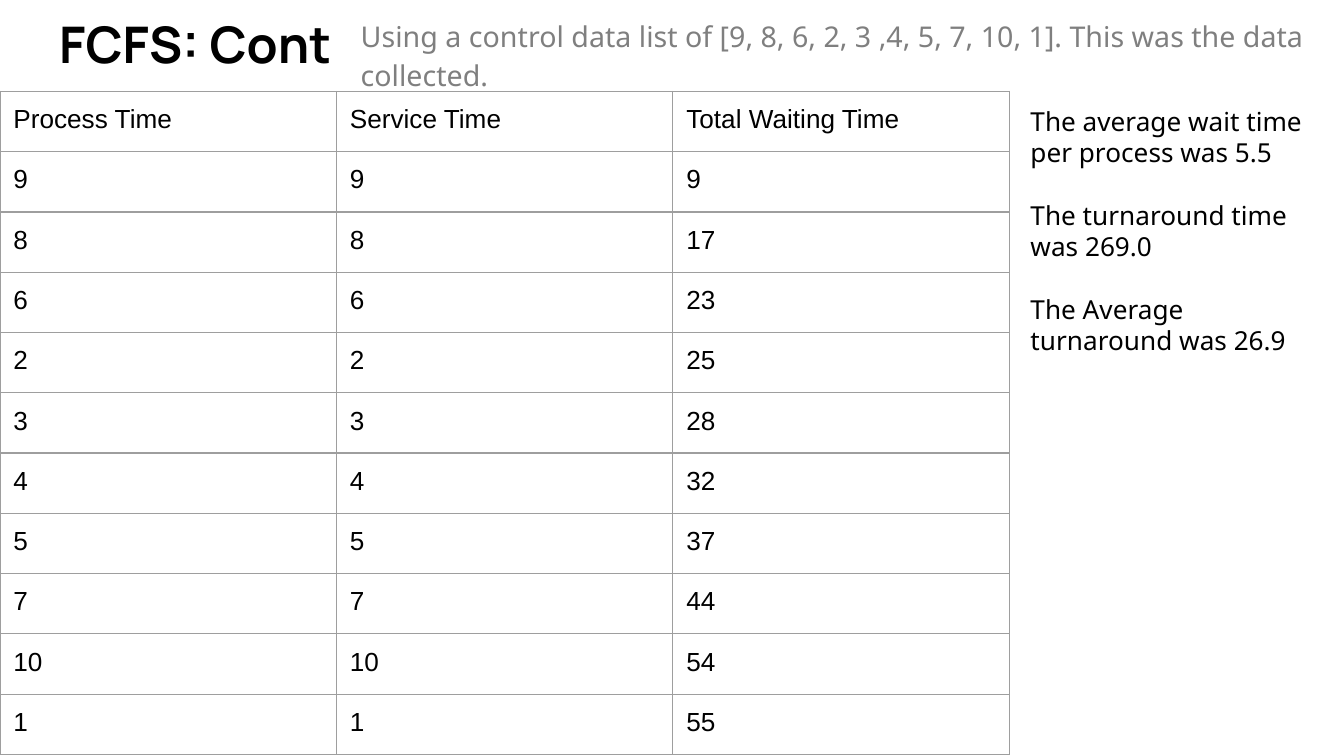
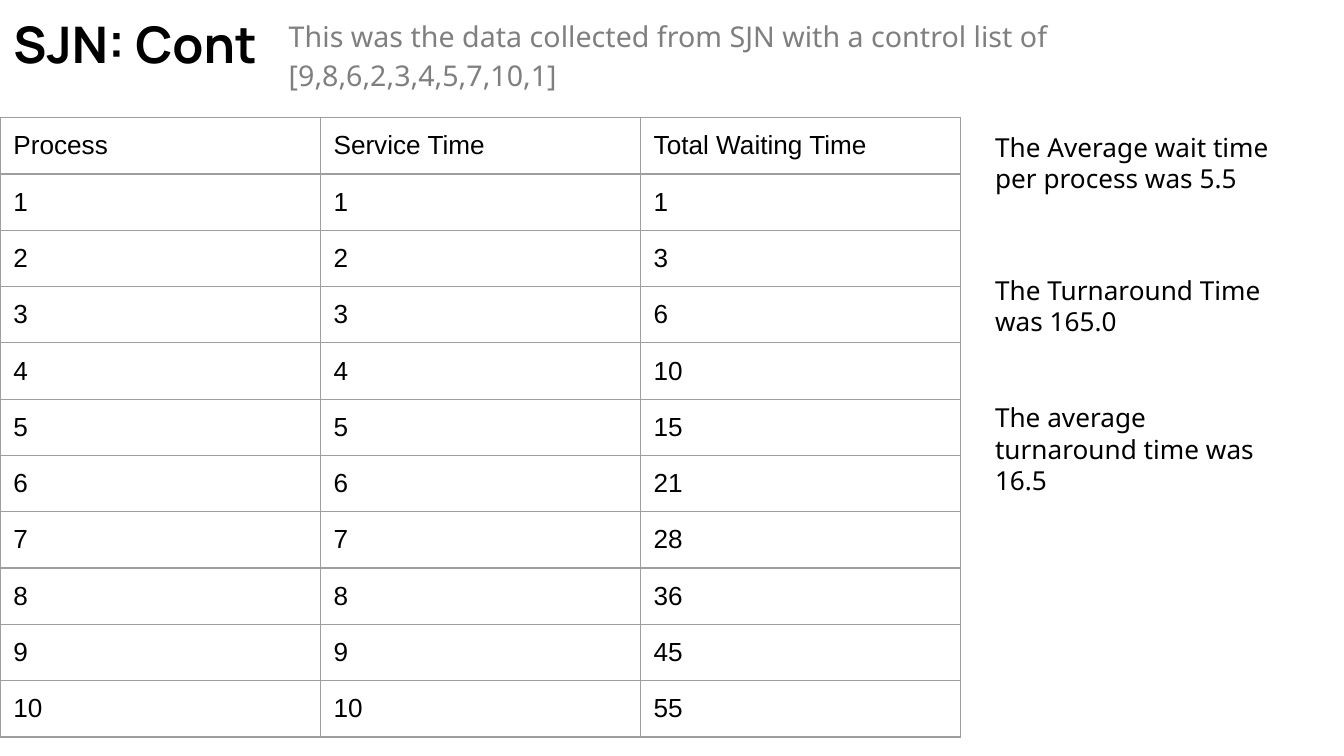
from itertools import accumulate

from lxml import etree
from pptx import Presentation
from pptx.dml.color import RGBColor
from pptx.enum import text
from pptx.oxml import ns
from pptx.util import Pt

COLORS = {"ink": "000000", "muted": "7F7F7F", "grid": "9E9E9E", "paper": "FFFFFF"}
INSET = 7.2
NOTE_GAP = 16.8

# Boxes are (left, top, width, height) in points; each note box holds its paragraphs.
SLIDES = [
    {
        "title": ("FCFS: Cont", (24.5, 0, 671, 49)),
        "intro": ("Using a control data list of [9, 8, 6, 2, 3 ,4, 5, 7, 10, 1]. "
                  "This was the data collected.", (186, 0, 534, 42.5)),
        "headers": ["Process Time", "Service Time", "Total Waiting Time"],
        "times": [9, 8, 6, 2, 3, 4, 5, 7, 10, 1],
        "table": {"top": 49, "column": 180.25, "row": 32.3},
        "notes": [
            ((545, 49, 175, 150.5), ["The average wait time per process was 5.5",
                                     "The turnaround time was 269.0",
                                     "The Average turnaround was 26.9"]),
        ],
    },
    {
        "title": ("SJN: Cont", (0, 0, 671, 49)),
        "intro": ("This was the data collected from SJN with a control list of "
                  "[9,8,6,2,3,4,5,7,10,1]", (147.5, 0, 531.5, 49)),
        "headers": ["Process", "Service Time", "Total Waiting Time"],
        "times": list(range(1, 11)),
        "table": {"top": 63, "column": 171.5, "row": 30.1},
        "notes": [
            ((526, 63, 182, 48), ["The Average wait time per process was 5.5"]),
            ((526, 139.7, 170, 48), ["The Turnaround Time was 165.0"]),
            ((526, 208, 160, 48), ["The average turnaround time was 16.5"]),
        ],
    },
]


def style_font(para, name, size, color, bold=False):
    font = para.font
    font.name, font.size, font.bold = name, Pt(size), bold
    font.color.rgb = RGBColor.from_string(COLORS[color])


def set_frame(frame):
    """Give a text frame the shared insets, wrapping and top anchor."""
    frame.margin_left = frame.margin_right = Pt(INSET)
    frame.margin_top = frame.margin_bottom = Pt(INSET)
    frame.word_wrap = True
    frame.auto_size = text.MSO_AUTO_SIZE.NONE
    frame.vertical_anchor = text.MSO_ANCHOR.TOP


def fill_placeholder(holder, content):
    words, box = content
    holder.left, holder.top, holder.width, holder.height = map(Pt, box)
    set_frame(holder.text_frame)
    holder.text_frame.text = words
    para = holder.text_frame.paragraphs[0]
    para.alignment = text.PP_ALIGN.LEFT
    para.space_before = Pt(0)
    return para


def remove_bullet(para):
    props = para._p.get_or_add_pPr()
    props.set("marL", "0")
    props.set("indent", "0")
    etree.SubElement(props, ns.qn("a:buNone"))


def add_borders(cell):
    props = cell._tc.get_or_add_tcPr()
    for place, side in enumerate(("lnL", "lnR", "lnT", "lnB")):
        line = etree.Element(ns.qn(f"a:{side}"), w=str(Pt(0.75)))
        fill = etree.SubElement(line, ns.qn("a:solidFill"))
        etree.SubElement(fill, ns.qn("a:srgbClr"), val=COLORS["grid"])
        props.insert(place, line)


def add_times_table(slide, headers, times, layout):
    rows = [headers, *zip(times, times, accumulate(times))]
    width, height = layout["column"] * len(headers), layout["row"] * len(rows)
    table = slide.shapes.add_table(len(rows), len(headers), Pt(0), Pt(layout["top"]),
                                   Pt(width), Pt(height)).table
    table.first_row = table.horz_banding = False
    for column in table.columns:
        column.width = Pt(layout["column"])
    for row, values in zip(table.rows, rows):
        row.height = Pt(layout["row"])
        for cell, value in zip(row.cells, values):
            cell.text = str(value)
            cell.margin_left = cell.margin_right = Pt(INSET)
            cell.margin_top = cell.margin_bottom = Pt(INSET)
            cell.fill.background()
            add_borders(cell)
            style_font(cell.text_frame.paragraphs[0], "Arial", 14, "ink")


def add_note(slide, box, lines):
    frame = slide.shapes.add_textbox(*map(Pt, box)).text_frame
    set_frame(frame)
    frame.text = "\n".join(lines)
    for para in frame.paragraphs:
        style_font(para, "Noto Sans", 14, "ink")
    for para in frame.paragraphs[:-1]:
        para.space_after = Pt(NOTE_GAP)


def add_results_slide(deck, content):
    slide = deck.slides.add_slide(deck.slide_layouts[1])
    background = slide.background.fill
    background.solid()
    background.fore_color.rgb = RGBColor.from_string(COLORS["paper"])

    title = fill_placeholder(slide.shapes.title, content["title"])
    style_font(title, "Manrope", 27, "ink", bold=True)
    intro = fill_placeholder(slide.placeholders[1], content["intro"])
    intro.line_spacing, intro.space_after = 1.15, Pt(12)
    remove_bullet(intro)
    style_font(intro, "Noto Sans", 15.3, "muted")

    add_times_table(slide, content["headers"], content["times"], content["table"])
    for box, lines in content["notes"]:
        add_note(slide, box, lines)


def main():
    deck = Presentation()
    deck.slide_width, deck.slide_height = Pt(720), Pt(405)
    for content in SLIDES:
        add_results_slide(deck, content)
    deck.save("out.pptx")


if __name__ == "__main__":
    main()
